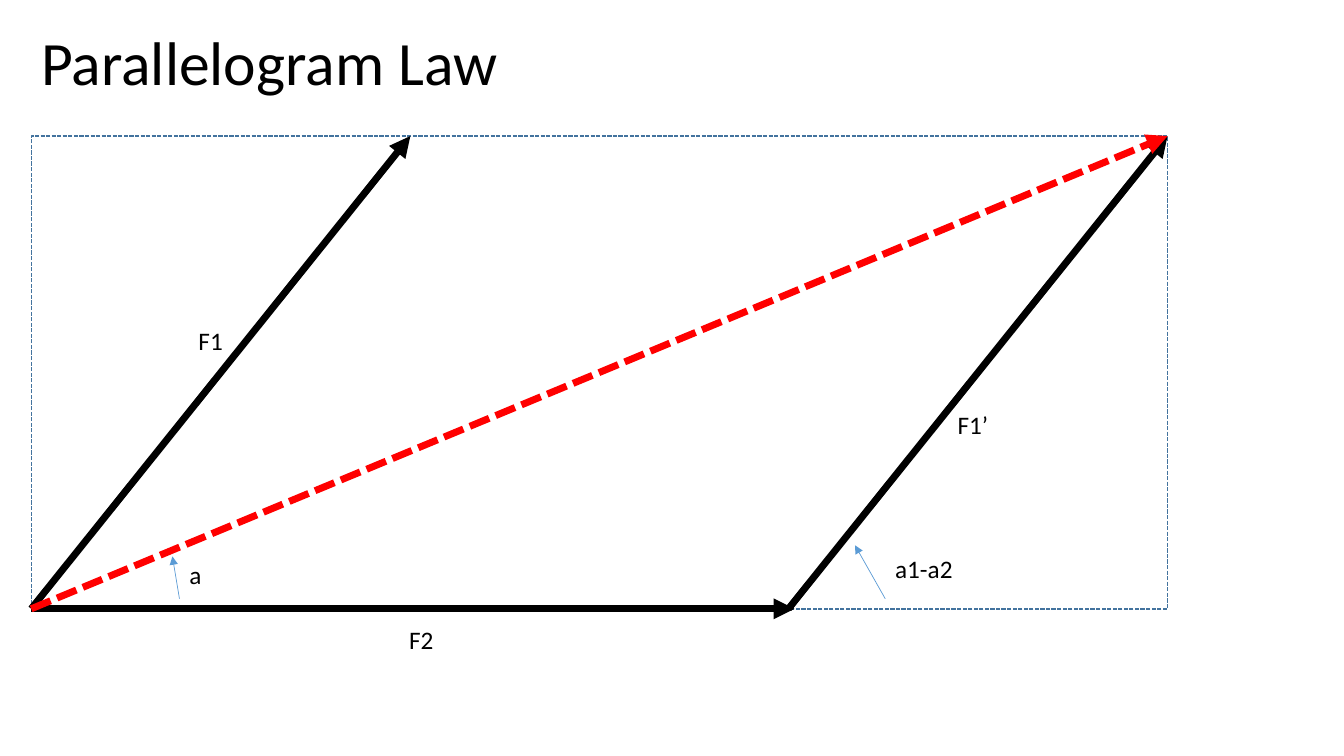
from dataclasses import dataclass

from lxml import etree
from pptx import Presentation
from pptx.dml.color import RGBColor
from pptx.enum.dml import MSO_LINE
from pptx.enum.shapes import MSO_CONNECTOR, MSO_SHAPE
from pptx.enum.text import MSO_ANCHOR, MSO_AUTO_SIZE, PP_ALIGN
from pptx.oxml.ns import qn
from pptx.util import Inches, Pt

DASH = MSO_LINE.SQUARE_DOT
STRAIGHT = MSO_CONNECTOR.STRAIGHT
RECT = MSO_SHAPE.RECTANGLE
MIDDLE, TOP = MSO_ANCHOR.MIDDLE, MSO_ANCHOR.TOP
FIT, FIXED = MSO_AUTO_SIZE.SHAPE_TO_FIT_TEXT, MSO_AUTO_SIZE.NONE
LEFT = PP_ALIGN.LEFT


@dataclass(frozen=True)
class Theme:
    font: str = "Calibri"
    ink: str = "000000"
    sum: str = "FF0000"
    frame: str = "43739E"
    mark: str = "5B9BD5"
    title: float = 44
    label: float = 18
    force: float = 5
    edge: float = 1
    thin: float = 0.5


THEME = Theme()

# Corners of the parallelogram and its bounding frame
X0, X1, Y0, Y1 = 0.31, 11.58, 1.35, 6.04
RUN = 3.76
ORIGIN, PEAK = (X0, Y1), (X0 + RUN, Y0)
BASE, END = (X1 - RUN, Y1), (X1, Y0)
TIP = (7.88, Y1)

FORCES = [
    (ORIGIN, TIP, THEME.ink, None),
    (ORIGIN, PEAK, THEME.ink, None),
    (BASE, END, THEME.ink, None),
    (ORIGIN, END, THEME.sum, DASH),
]
MARKS = [((8.78, 5.94), (8.48, 5.41)), ((1.78, 5.94), (1.71, 5.52))]
LABELS = [
    ("F1", 1.87, 3.18, 0.45),
    ("F1’", 9.4, 4.01, 0.51),
    ("F2", 3.96, 6.14, 0.45),
    ("a1-a2", 8.78, 5.44, 0.78),
    ("a", 1.78, 5.5, 0.32),
]


def style(item, **values):
    for name, value in values.items():
        setattr(item, name, value)


def stroke(line, color, width, dash=None):
    line.color.rgb = RGBColor.from_string(color)
    style(line, width=Pt(width), dash_style=dash)


def frame(shapes):
    box = shapes.add_shape(RECT, Inches(X0), Inches(Y0),
                           Inches(X1 - X0), Inches(Y1 - Y0))
    box.shadow.inherit = False
    box.fill.background()
    stroke(box.line, THEME.frame, THEME.edge, DASH)


def arrow(shapes, start, end, color, width, dash=None):
    line = shapes.add_connector(STRAIGHT, *map(Inches, start + end))
    stroke(line.line, color, width, dash)
    props = line.line._get_or_add_ln()
    etree.SubElement(props, qn("a:tailEnd"), type="triangle")
    etree.SubElement(line._element.spPr, qn("a:effectLst"))


def text(shapes, words, place, size, **format):
    """Add a one-line text box; format holds text frame settings."""
    area = shapes.add_textbox(*map(Inches, place)).text_frame
    style(area, **format)
    para = area.paragraphs[0]
    para.alignment = LEFT
    run = para.add_run()
    run.text = words
    style(run.font, name=THEME.font, size=Pt(size))
    run.font.color.rgb = RGBColor.from_string(THEME.ink)
    return para


def main():
    deck = Presentation()
    style(deck, slide_width=Inches(13.33), slide_height=Inches(7.5))
    slide = deck.slides.add_slide(deck.slide_layouts[6])

    shapes = slide.shapes.add_group_shape().shapes
    frame(shapes)
    for start, end, color, dash in FORCES:
        arrow(shapes, start, end, color, THEME.force, dash)
    for start, end in MARKS:
        arrow(shapes, start, end, THEME.mark, THEME.thin)
    for words, x, y, wide in LABELS:
        text(shapes, words, (x, y, wide, 0.4), THEME.label,
             word_wrap=False, auto_size=FIT, vertical_anchor=TOP)

    title = text(slide.shapes, "Parallelogram Law", (X0, 0.14, 11.5, 1.02),
                 THEME.title, word_wrap=True, auto_size=FIXED,
                 vertical_anchor=MIDDLE)
    title.line_spacing = 0.9
    deck.save("out.pptx")


if __name__ == "__main__":
    main()
